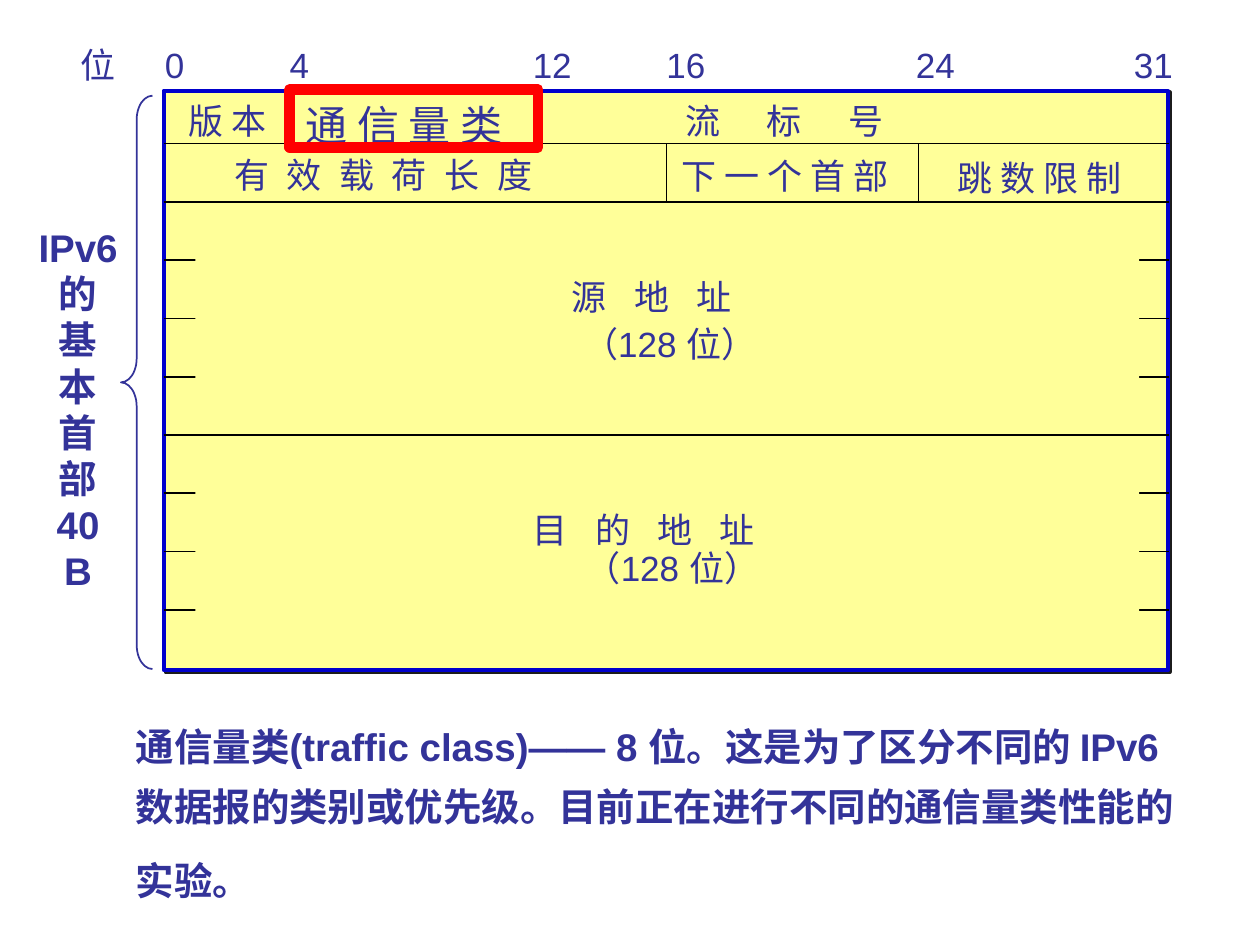
import pptx
import pptx.dml.color
import pptx.enum.shapes
import pptx.enum.text
import pptx.util
from lxml import etree
from pptx.util import Inches

MAIN_NS = "http://schemas.openxmlformats.org/drawingml/2006/main"
SHAPES = pptx.enum.shapes.MSO_SHAPE
ALIGN = pptx.enum.text.PP_ALIGN
FRAME_SHADOW = (
    f'<a:effectLst xmlns:a="{MAIN_NS}"><a:outerShdw dist="17961" dir="2700000">'
    '<a:srgbClr val="1C1C1C"/></a:outerShdw></a:effectLst>'
)


def color(value):
    return pptx.dml.color.RGBColor.from_string(value)


class HeaderSlide:
    font = "Arial"
    ink = "333399"
    paper = "FFFF99"
    rule = "000000"

    def __init__(self, page):
        self.page = page

    def shape(self, kind, left, top, width, height, fill=None, line=None, weight=1):
        item = self.page.shapes.add_shape(
            kind, Inches(left), Inches(top), Inches(width), Inches(height))
        item.shadow.inherit = False
        if fill:
            item.fill.solid()
            item.fill.fore_color.rgb = color(fill)
        else:
            item.fill.background()
        if line:
            item.line.color.rgb = color(line)
            item.line.width = pptx.util.Pt(weight)
        else:
            item.line.fill.background()
        return item

    def frame(self, left, top, width, height):
        item = self.shape(SHAPES.RECTANGLE, left, top, width, height,
                          self.paper, "0000CC", 2.25)
        properties = item._element.spPr
        properties.remove(properties.find(f"{{{MAIN_NS}}}effectLst"))
        properties.append(etree.fromstring(FRAME_SHADOW))

    def line(self, x1, y1, x2, y2):
        item = self.page.shapes.add_connector(
            pptx.enum.shapes.MSO_CONNECTOR.STRAIGHT,
            Inches(x1), Inches(y1), Inches(x2), Inches(y2))
        item.line.color.rgb = color(self.rule)
        item.line.width = pptx.util.Pt(1)
        etree.SubElement(item._element.spPr, f"{{{MAIN_NS}}}effectLst")

    def text(self, lines, left, top, width, height=0.43, size=20, bold=False,
             align=ALIGN.LEFT, wrap=False, tracking=0, spacing=None):
        """Add one paragraph per line; tracking is extra letter space in points."""
        box = self.page.shapes.add_textbox(
            Inches(left), Inches(top), Inches(width), Inches(height))
        frame = box.text_frame
        frame.word_wrap = wrap
        frame.auto_size = pptx.enum.text.MSO_AUTO_SIZE.SHAPE_TO_FIT_TEXT
        frame.text = "\n".join(lines)
        for para in frame.paragraphs:
            para.alignment = align
            if spacing:
                para.line_spacing = spacing
            para.font.name = self.font
            para.font.size = pptx.util.Pt(size)
            para.font.bold = bold
            para.font.color.rgb = color(self.ink)
            if tracking:
                defaults = para._p.get_or_add_pPr().get_or_add_defRPr()
                defaults.set("spc", str(round(tracking * 100)))
        return box


def main():
    deck = pptx.Presentation()
    deck.slide_width, deck.slide_height = Inches(10), Inches(7.5)
    slide = HeaderSlide(deck.slides.add_slide(deck.slide_layouts[6]))

    left, right, top, bottom = 1.3, 9.28, 0.72, 5.32
    first_row, row_height, bit_width = 1.14, 0.4625, 0.25
    second_row = first_row + row_height
    slide.frame(left, top, 7.97, bottom - top)

    for row in range(9):
        y = first_row + row * row_height
        slide.line(left, y, right, y)
    for bit, y1, y2 in [(4, top, first_row), (12, top, first_row),
                        (16, first_row, second_row), (24, first_row, second_row)]:
        x = 1.29 + bit * bit_width
        slide.line(x, y1, x, y2)

    # Address blocks cover the row lines, leaving short ticks at the sides
    for y in (1.91, 3.76):
        slide.shape(SHAPES.RECTANGLE, 1.55, y, 7.49, 1.23, slide.paper)

    for label, x, width in [("位", 0.54, 0.48), ("0", 1.21, 0.35), ("4", 2.2, 0.35),
                            ("12", 4.13, 0.51), ("16", 5.19, 0.51),
                            ("24", 7.17, 0.51), ("31", 8.9, 0.51)]:
        slide.text([label], x, 0.3, width)

    for label, x, y, width, tracking in [
        ("版 本", 1.4, 0.74, 0.89, 0),
        ("流 标 号", 5.34, 0.74, 2.43, 11.12),
        ("有 效 载 荷 长 度", 1.76, 1.17, 3.26, 2.78),
        ("下 一 个 首 部", 5.31, 1.18, 2.15, 0),
        ("跳 数 限 制", 7.5, 1.19, 1.73, 0),
        ("源 地 址", 4.44, 2.14, 1.87, 5.56),
        ("（128 位）", 4.53, 2.51, 1.71, 0),
        ("目 的 地 址", 4.13, 3.99, 2.56, 5.56),
        ("（128 位）", 4.55, 4.29, 1.71, 0),
    ]:
        slide.text([label], x, y, width, tracking=tracking)
    slide.text(["通 信 量 类"], 2.33, 0.74, 2.03, 0.5, size=24)

    brace = slide.shape(SHAPES.LEFT_BRACE, 0.96, 0.76, 0.25, 4.55, line=slide.ink)
    brace.adjustments[0] = 0.76
    slide.text(["IPv6", "的", "基", "本", "首", "部", "40 B"], 0.2, 1.73, 0.84, 3.03,
               size=22, bold=True, align=ALIGN.CENTER)

    slide.shape(SHAPES.RECTANGLE, 2.3, 0.71, 1.97, 0.46, line="FF0000", weight=6)

    note = slide.text(
        ["通信量类(traffic class)—— 8 位。这是为了区分不同的 IPv6 数据报的类别或优先级。"
         "目前正在进行不同的通信量类性能的实验。"],
        0.98, 5.58, 8.66, 1.66, size=22, bold=True, wrap=True, spacing=1.3)
    # A larger closing space sets the height of the last line
    span = note.text_frame.paragraphs[0].add_run()
    span.text = " "
    span.font.size = pptx.util.Pt(28)
    span.font.bold = False

    deck.save("out.pptx")


if __name__ == "__main__":
    main()
